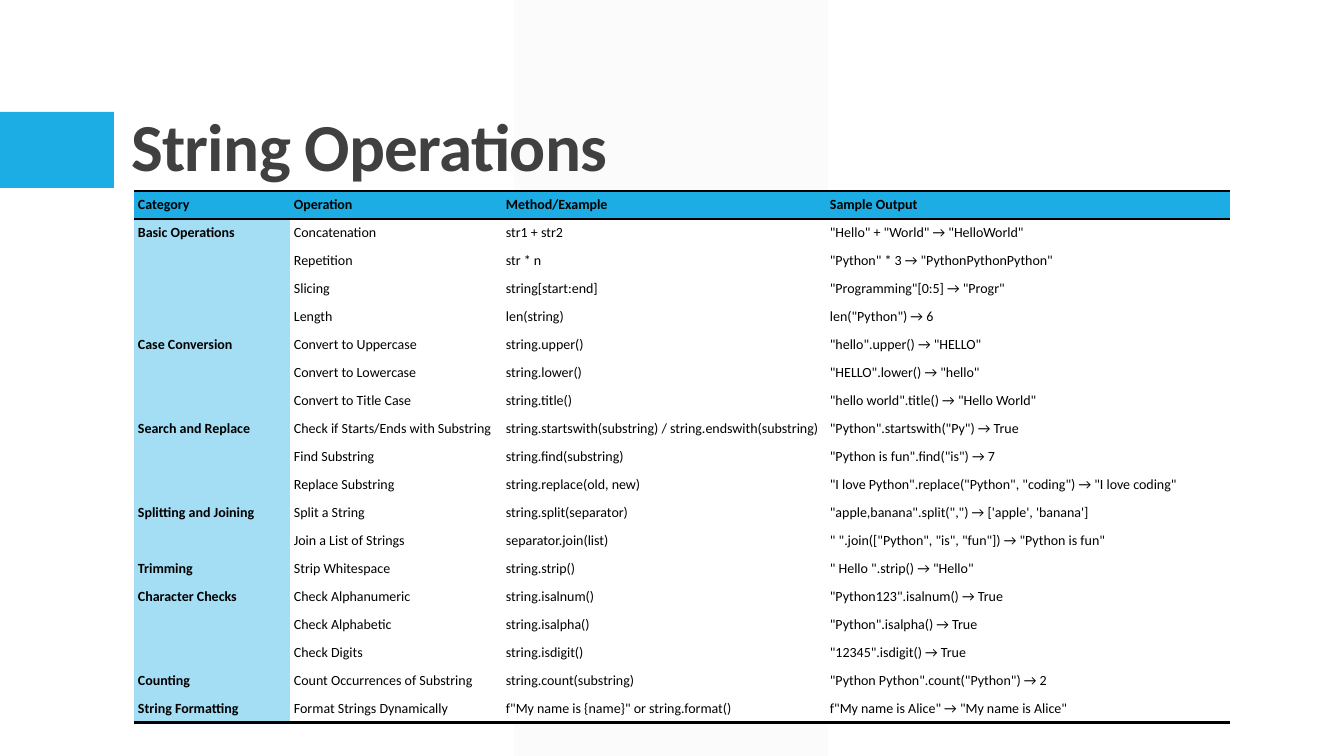
from lxml import etree
from pptx import Presentation
from pptx import util as u
from pptx.dml.color import RGBColor
from pptx.enum import shapes, text
from pptx.oxml.ns import qn

COLORS = {
    "accent": "1CADE4",
    "category": "A4DEF4",
    "cell": "FFFFFF",
    "band": "F2F2F2",
    "title": "404040",
    "ink": "000000",
}
FONT = "Calibri"
NO_STYLE = "{2D5ABB26-0587-4C30-8999-92F81FD0307C}"
COLUMN_WIDTHS = (156, 212, 324, 404)
ROW_HEIGHT = 28

HEADER = ("Category", "Operation", "Method/Example", "Sample Output")
OPERATIONS = {
    "Basic Operations": [
        ("Concatenation", "str1 + str2", '"Hello" + "World" → "HelloWorld"'),
        ("Repetition", "str * n", '"Python" * 3 → "PythonPythonPython"'),
        ("Slicing", "string[start:end]", '"Programming"[0:5] → "Progr"'),
        ("Length", "len(string)", 'len("Python") → 6'),
    ],
    "Case Conversion": [
        ("Convert to Uppercase", "string.upper()", '"hello".upper() → "HELLO"'),
        ("Convert to Lowercase", "string.lower()", '"HELLO".lower() → "hello"'),
        ("Convert to Title Case", "string.title()", '"hello world".title() → "Hello World"'),
    ],
    "Search and Replace": [
        ("Check if Starts/Ends with Substring",
         "string.startswith(substring) / string.endswith(substring)",
         '"Python".startswith("Py") → True'),
        ("Find Substring", "string.find(substring)", '"Python is fun".find("is") → 7'),
        ("Replace Substring", "string.replace(old, new)",
         '"I love Python".replace("Python", "coding") → "I love coding"'),
    ],
    "Splitting and Joining": [
        ("Split a String", "string.split(separator)",
         '"apple,banana".split(",") → [\'apple\', \'banana\']'),
        ("Join a List of Strings", "separator.join(list)",
         '" ".join(["Python", "is", "fun"]) → "Python is fun"'),
    ],
    "Trimming": [
        ("Strip Whitespace", "string.strip()", '" Hello ".strip() → "Hello"'),
    ],
    "Character Checks": [
        ("Check Alphanumeric", "string.isalnum()", '"Python123".isalnum() → True'),
        ("Check Alphabetic", "string.isalpha()", '"Python".isalpha() → True'),
        ("Check Digits", "string.isdigit()", '"12345".isdigit() → True'),
    ],
    "Counting": [
        ("Count Occurrences of Substring", "string.count(substring)",
         '"Python Python".count("Python") → 2'),
    ],
    "String Formatting": [
        ("Format Strings Dynamically", 'f"My name is {name}" or string.format()',
         'f"My name is Alice" → "My name is Alice"'),
    ],
}


def px(n):
    return u.Emu(round(n * 914400 / 100.8))


def rgb(name):
    return RGBColor.from_string(COLORS[name])


def style_run(r, size, color, bold):
    r.font.name = FONT
    r.font.size = u.Pt(size)
    r.font.bold = bold
    r.font.color.rgb = rgb(color)


def add_block(s, kind, box, color):
    sp = s.shapes.add_shape(kind, *map(px, box))
    sp.shadow.inherit = False
    sp.fill.solid()
    sp.fill.fore_color.rgb = rgb(color)
    sp.line.fill.background()
    return sp


def add_backdrop(s, box):
    x, y, w, h = box
    band = add_block(s, shapes.MSO_SHAPE.PARALLELOGRAM, (x + 514, y, 314, h), "band")
    band.adjustments[0] = 0
    color = band.fill._xPr.find(".//" + qn("a:srgbClr"))
    etree.SubElement(color, qn("a:alpha"), val="30000")
    add_block(s, shapes.MSO_SHAPE.RECTANGLE, (x, y + 112, 114, 76), "accent")


def add_title(s, box, title):
    sp = s.shapes.title
    s.shapes._spTree.append(sp._element)
    sp.left, sp.top, sp.width, sp.height = map(px, box)
    tf = sp.text_frame
    tf.text = title
    tf.word_wrap = True
    tf.auto_size = text.MSO_AUTO_SIZE.NONE
    tf.vertical_anchor = text.MSO_ANCHOR.BOTTOM
    p = tf.paragraphs[0]
    p.alignment = text.PP_ALIGN.LEFT
    p.line_spacing = 0.9
    r = p.runs[0]
    style_run(r, 48, "title", True)
    r.font._element.set("spc", "-50")


def set_borders(cell, sides):
    tc_pr = cell._tc.get_or_add_tcPr()
    for i, side in enumerate(sides):
        ln = etree.Element(qn("a:ln" + side), w=str(u.Pt(2)))
        fill = etree.SubElement(ln, qn("a:solidFill"))
        etree.SubElement(fill, qn("a:srgbClr"), val=COLORS["ink"])
        tc_pr.insert(i, ln)


def fill_cell(cell, value, color, bold):
    cell.fill.solid()
    cell.fill.fore_color.rgb = rgb(color)
    cell.margin_left = cell.margin_right = px(4)
    cell.margin_top = cell.margin_bottom = px(2)
    cell.vertical_anchor = text.MSO_ANCHOR.MIDDLE
    p = cell.text_frame.paragraphs[0]
    if value:
        p.text = value
        style_run(p.runs[0], 10, "ink", bold)
    else:
        etree.SubElement(p._p, qn("a:endParaRPr"), sz="1000")


def add_operations_table(s, left, top):
    rows = [HEADER]
    for category, items in OPERATIONS.items():
        rows += [(category if i == 0 else "", *item) for i, item in enumerate(items)]
    width, height = sum(COLUMN_WIDTHS), ROW_HEIGHT * len(rows)
    frame = s.shapes.add_table(len(rows), len(HEADER), px(left), px(top), px(width), px(height))
    table = frame.table
    table.horz_banding = False
    table._tbl.tblPr.find(qn("a:tableStyleId")).text = NO_STYLE
    for column, w in zip(table.columns, COLUMN_WIDTHS):
        column.width = px(w)
    for i, values in enumerate(rows):
        table.rows[i].height = px(ROW_HEIGHT)
        for j, value in enumerate(values):
            cell = table.cell(i, j)
            color = "accent" if i == 0 else "category" if j == 0 else "cell"
            fill_cell(cell, value, color, i == 0 or j == 0)
            if i == 0:
                set_borders(cell, "TB")
            elif i == len(rows) - 1:
                set_borders(cell, "B")


def main():
    prs = Presentation()
    prs.slide_width, prs.slide_height = px(1344), px(756)
    s = prs.slides.add_slide(prs.slide_layouts[5])
    add_backdrop(s, (0, 0, 1344, 756))
    add_title(s, (121, 31, 1109, 160), "String Operations")
    add_operations_table(s, 134, 191)
    prs.save("out.pptx")


if __name__ == "__main__":
    main()
